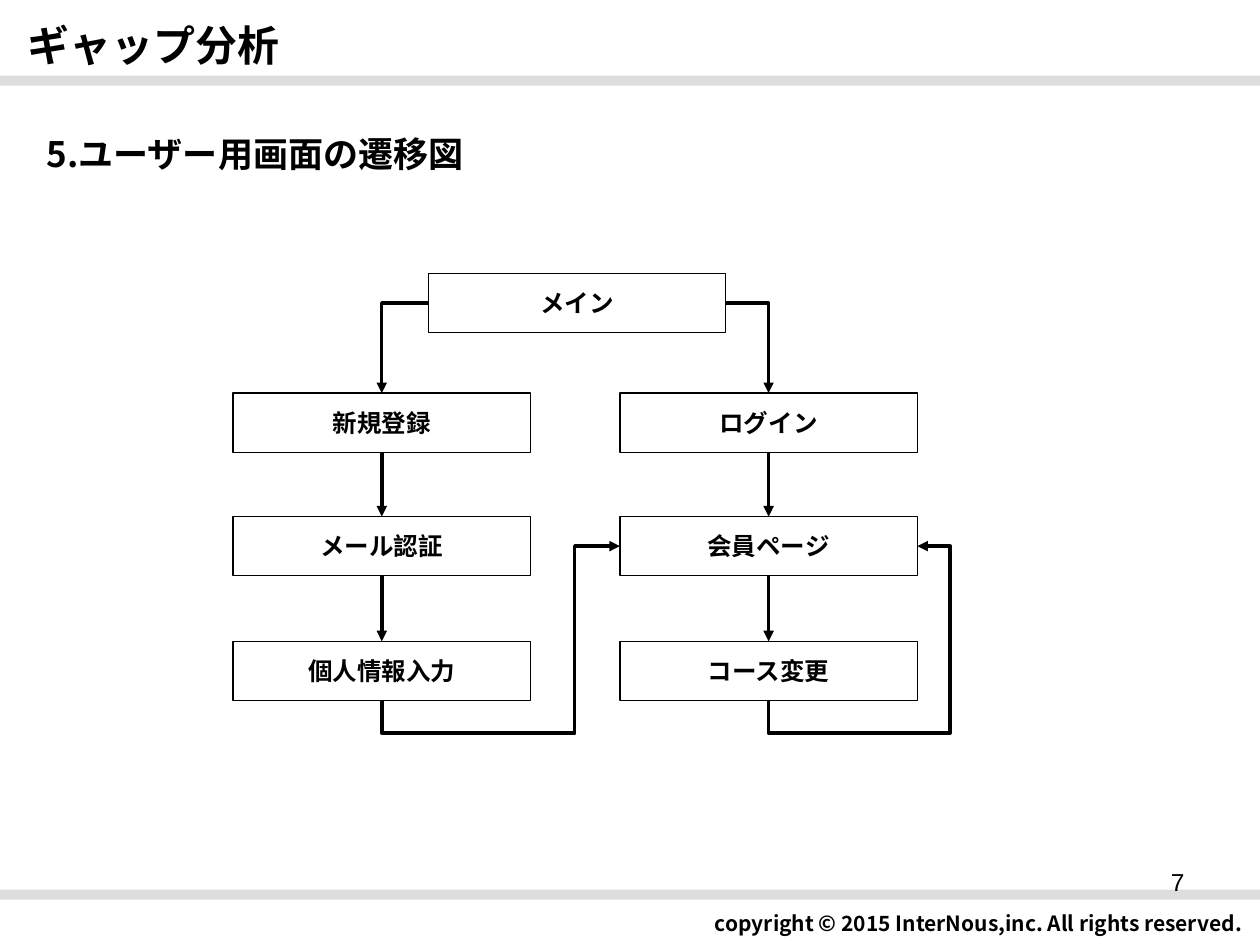
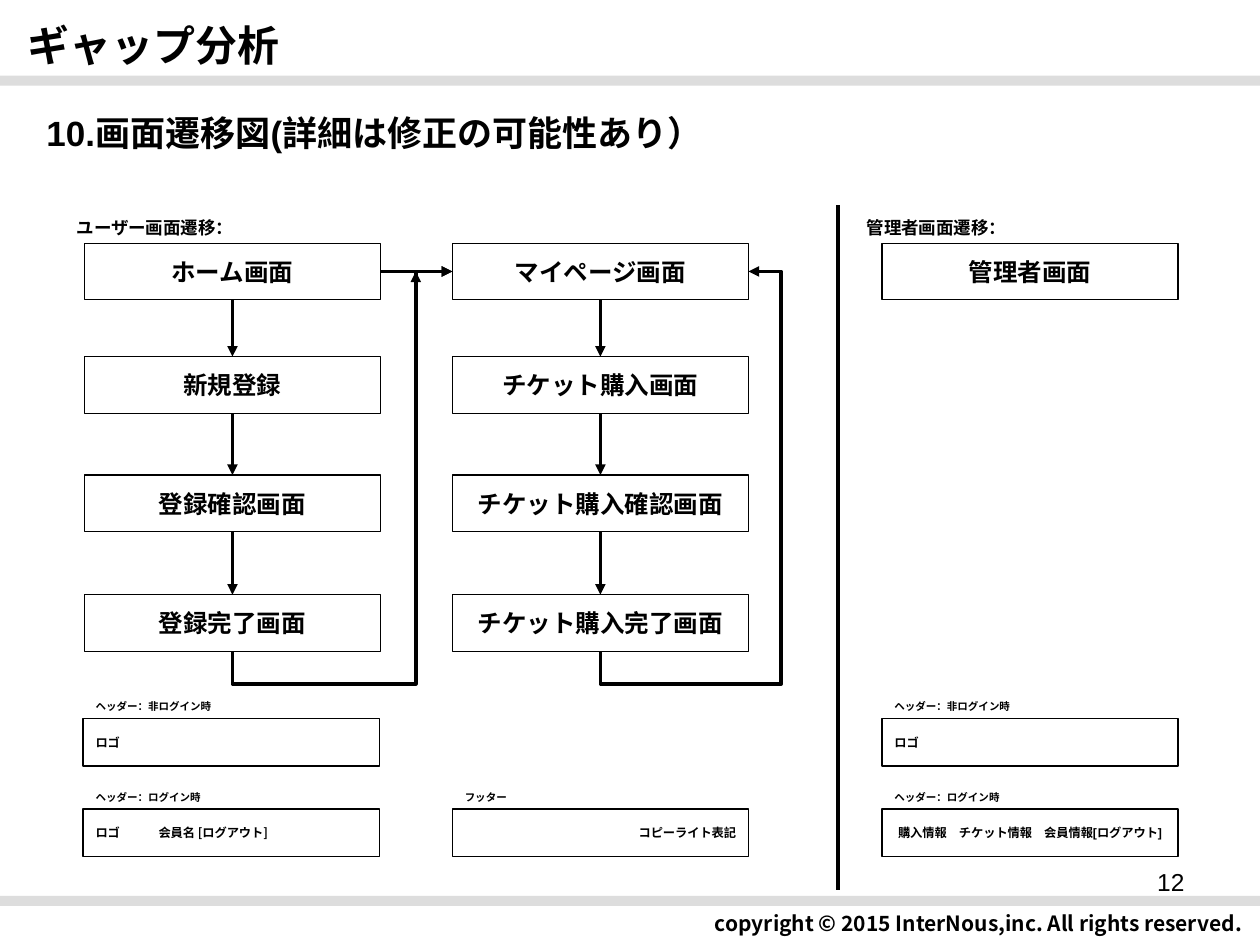
from collections import namedtuple

from lxml import etree
from pptx import Presentation
from pptx import util as u
from pptx.dml.color import RGBColor
from pptx.enum import shapes, text
from pptx.oxml.ns import qn

# Grid: 100 columns by 75 rows, one cell is a tenth of an inch
COLS, ROWS = 100, 75
Box = namedtuple("Box", "x y w h")

BLACK = RGBColor(0, 0, 0)
GREY = RGBColor(0xDD, 0xDD, 0xDD)
ARIAL, NOTO = "Arial", "Noto Sans CJK JP"
LEFT, MID, RIGHT = text.PP_ALIGN.LEFT, text.PP_ALIGN.CENTER, text.PP_ALIGN.RIGHT
DROP = 2.6  # how far a loop dips below its box


def cell(n):
    return u.Inches(n / 10)


def cells(box):
    return [cell(n) for n in box]


# Text and shapes
def write(shape, words, size, font=ARIAL, align=LEFT, bold=True,
          wrap=False, middle=True):
    frame = shape.text_frame
    frame.text = words
    frame.word_wrap = wrap
    frame.auto_size = text.MSO_AUTO_SIZE.NONE
    frame.vertical_anchor = (text.MSO_ANCHOR.MIDDLE if middle
                             else text.MSO_ANCHOR.TOP)
    para = frame.paragraphs[0]
    para.alignment = align
    for run in para.runs:
        run.font.name = font
        run.font.size = u.Pt(size)
        run.font.bold = bold
        run.font.color.rgb = BLACK
        east = etree.SubElement(run._r.get_or_add_rPr(), qn("a:ea"))
        east.set("typeface", NOTO)


def label(sld, box, words, size, **style):
    write(sld.shapes.add_textbox(*cells(box)), words, size, **style)


def rect(sld, box):
    shape = sld.shapes.add_shape(shapes.MSO_SHAPE.RECTANGLE, *cells(box))
    shape.shadow.inherit = False
    return shape


def band(sld, y):
    bar = rect(sld, Box(0, y, COLS, 0.8))
    bar.fill.solid()
    bar.fill.fore_color.rgb = GREY
    bar.line.fill.background()


def node(sld, box, words, size=14, align=MID, font=ARIAL):
    shape = rect(sld, box)
    shape.fill.background()
    shape.line.color.rgb = BLACK
    shape.line.width = u.Pt(0.75)
    write(shape, words, size, font, align)
    return shape


# Lines and arrows
def wire(sld, start, end, kind=shapes.MSO_CONNECTOR.STRAIGHT, arrow=True):
    line = sld.shapes.add_connector(kind, *cells(start + end))
    line.line.color.rgb = BLACK
    line.line.width = u.Pt(2)
    if arrow:
        tail = etree.SubElement(line.line._get_or_add_ln(), qn("a:tailEnd"))
        tail.set("type", "triangle")
    etree.SubElement(line._element.spPr, qn("a:effectLst"))
    return line


def join(sld, first, side, last, goal):
    line = wire(sld, (0, 0), (1, 1))
    line.begin_connect(first, side)
    line.end_connect(last, goal)


def bend(sld, start, end, preset="bentConnector2"):
    line = wire(sld, start, end, shapes.MSO_CONNECTOR.ELBOW)
    geom = line._element.spPr.find(qn("a:prstGeom"))
    geom.set("prst", preset)
    return line, geom


def loop(sld, start, end, lane):
    """Leave start downwards, rise along the lane, enter end sideways."""
    (x1, y1), (x2, y2) = start, end
    cx, cy = (x1 + x2) / 2, (y1 + y2) / 2
    dx, dy = (y1 - y2) / 2, (x2 - x1) / 2  # half sides before the turn
    line, geom = bend(sld, (cx + dx, cy + dy), (cx - dx, cy - dy),
                      "bentConnector4")
    line.rotation = 90 if hasattr(type(line), "rotation") else 0
    line._element.spPr.find(qn("a:xfrm")).set("rot", "5400000")
    guides = geom.find(qn("a:avLst"))
    if guides is None:
        guides = etree.SubElement(geom, qn("a:avLst"))
    shares = (-DROP / (y1 - y2), (lane - x1) / (x2 - x1))
    for num, share in enumerate(shares, 1):
        guide = etree.SubElement(guides, qn("a:gd"))
        guide.set("name", f"adj{num}")
        guide.set("fmla", f"val {round(share * 100000)}")


# Regions
def base(deck, head, top, page, foot):
    sld = deck.slides.add_slide(deck.slide_layouts[6])
    label(sld, Box(1.2, 0.5, 70.1, 6.1), "ギャップ分析", 24, font=NOTO)
    label(sld, Box(29.5, 71.4, 70.1, 3.7),
          "copyright © 2015 InterNous,inc. All rights reserved.", 12,
          font=NOTO, align=RIGHT)
    band(sld, 6)
    band(sld, foot)
    label(sld, Box(2.7, top, 70.1, 6.1), head, 20,
          font=NOTO if page == 7 else ARIAL)
    label(sld, Box(71.7, 68.3, 23.3, 5.2), str(page), 14, align=RIGHT,
          bold=False, wrap=True, middle=False)
    return sld


def column(sld, box, tops, names):
    """Stack nodes at the given rows; box holds the first node's size."""
    stack = [node(sld, box._replace(y=box.y + top), name)
             for top, name in zip(tops, names)]
    for first, last in zip(stack, stack[1:]):
        join(sld, first, 2, last, 0)
    return stack


def panel(sld, box, title, words, align=LEFT, font=ARIAL):
    label(sld, box._replace(h=2), title, 6, wrap=True, middle=False)
    node(sld, box._replace(y=box.y + 1.9, h=box.h - 1.9), words, 7, align, font)


# Slide types
def user(deck):
    sld = base(deck, "5.ユーザー用画面の遷移図", 9.1, 7, 70.6)
    area = Box(18.5, 21.7, 23.6, 4.7)
    pitch, half = 30.7, area.w / 2
    tops = (9.5, 19.3, 29.2)
    side = area.x + pitch
    column(sld, area, tops, ("新規登録", "メール認証", "個人情報入力"))
    column(sld, area._replace(x=side), tops,
           ("ログイン", "会員ページ", "コース変更"))

    # Main box and its two branches
    main = area._replace(x=34)
    node(sld, main, "メイン")
    mid, fork = main.y + main.h / 2, main.y + tops[0]
    bend(sld, (main.x, mid), (area.x + half, fork))
    bend(sld, (main.x + main.w, mid), (side + half, fork))

    # Both last steps return to the member page
    low, goal = area.y + tops[2] + area.h, mid + tops[1]
    loop(sld, (area.x + half, low), (side, goal), 45.6)
    loop(sld, (side + half, low), (side + area.w, goal), 75.4)


def full(deck):
    sld = base(deck, "10.画面遷移図(詳細は修正の可能性あり）", 7.5, 12, 71.1)
    area = Box(6.7, 19.3, 23.5, 4.5)
    half, tops = area.w / 2, (0, 9, 18.4, 27.9)
    side, lane, admin = 35.9, 33, 70
    left = column(sld, area, tops,
                  ("ホーム画面", "新規登録", "登録確認画面", "登録完了画面"))
    right = column(sld, area._replace(x=side), tops,
                   ("マイページ画面", "チケット購入画面",
                    "チケット購入確認画面", "チケット購入完了画面"))
    node(sld, area._replace(x=admin), "管理者画面")

    # Links between the columns
    mid, low = area.y + area.h / 2, area.y + tops[3] + area.h
    join(sld, left[0], 3, right[0], 1)
    loop(sld, (area.x + half, low), (side, mid), lane)
    loop(sld, (side + half, low), (side + area.w, mid), 62)
    wire(sld, (lane, 31.2), (lane, mid))

    # Divider and section labels
    wire(sld, (66.5, 16.3), (66.5, 70.6), arrow=False)
    for x, words in ((5.1, "ユーザー画面遷移："), (67.8, "管理者画面遷移：")):
        label(sld, Box(x, 16.7, 23.4, 2.7), words, 10, wrap=True, middle=False)

    # Header and footer panels
    out = Box(6.6, 55.1, 23.5, 5.7)
    inn = out._replace(y=62.3)
    for x in (out.x, admin):
        panel(sld, out._replace(x=x), "ヘッダー：非ログイン時", "ロゴ")
    panel(sld, inn, "ヘッダー：ログイン時", "ロゴ\t会員名 [ログアウト]", font=NOTO)
    panel(sld, inn._replace(x=side), "フッター", "コピーライト表記", RIGHT)
    panel(sld, inn._replace(x=admin), "ヘッダー：ログイン時",
          "購入情報　チケット情報　会員情報[ログアウト]", MID)


def main():
    deck = Presentation()
    deck.slide_width, deck.slide_height = cell(COLS), cell(ROWS)
    user(deck)
    full(deck)
    deck.save("out.pptx")


if __name__ == "__main__":
    main()
